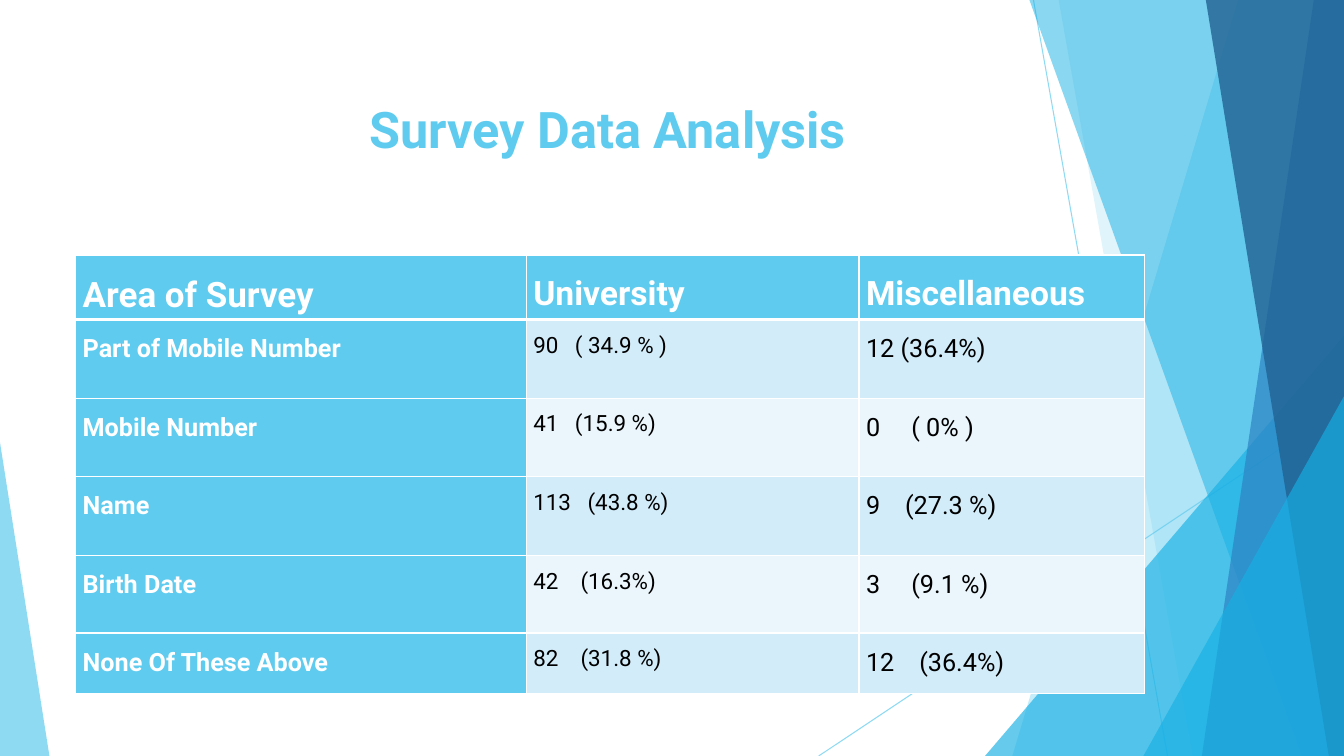
from lxml.etree import SubElement
from pptx import Presentation
from pptx.dml.color import RGBColor
from pptx.enum.shapes import MSO_CONNECTOR, MSO_SHAPE
from pptx.enum.text import MSO_ANCHOR, PP_ALIGN
from pptx.oxml.ns import qn
from pptx.util import Inches, Pt

SKY = RGBColor(0x5F, 0xCB, 0xEF)
CYAN = RGBColor(0x17, 0xB0, 0xE4)
BLUE = RGBColor(0x2E, 0x83, 0xC3)
NAVY = RGBColor(0x22, 0x62, 0x92)
BAND_DARK = RGBColor(0xD2, 0xEC, 0xF9)
BAND_LIGHT = RGBColor(0xEA, 0xF6, 0xFC)
WHITE = RGBColor(0xFF, 0xFF, 0xFF)
BLACK = RGBColor(0, 0, 0)
FONT = "Roboto"
WIDTH, HEIGHT = 13.33, 7.5

SURVEY = [
    ("Area of Survey", "University", "Miscellaneous"),
    ("Part of Mobile Number", "90   ( 34.9 % )", "12 (36.4%)"),
    ("Mobile Number", "41   (15.9 %)", "0     ( 0% )"),
    ("Name", "113   (43.8 %)", "9    (27.3 %)"),
    ("Birth Date", "42    (16.3%)", "3     (9.1 %)"),
    ("None Of These Above", "82    (31.8 %)", "12    (36.4%)"),
]
COLUMN_WIDTHS = [4.47, 3.3, 2.83]
ROW_HEIGHTS = [0.64, 0.78, 0.78, 0.78, 0.77, 0.6]
HEADER_SIZES = [25, 24, 24]
BODY_SIZES = [18, 16, 18]


def set_opacity(fill_parent, percent):
    colour = next(fill_parent.iter(qn("a:srgbClr")))
    SubElement(colour, qn("a:alpha"), val=str(percent * 1000))


def paint(facet, colour, percent):
    facet.shadow.inherit = False
    facet.fill.solid()
    facet.fill.fore_color.rgb = colour
    facet.line.fill.background()
    set_opacity(facet._element.spPr, percent)


def add_ray(slide, start, end):
    ray = slide.shapes.add_connector(
        MSO_CONNECTOR.STRAIGHT, *map(Inches, start + end))
    ray.line.color.rgb = SKY
    ray.line.width = Pt(0.75)
    set_opacity(ray._element.spPr, 70)
    SubElement(ray._element.spPr, qn("a:effectLst"))


def add_blade(slide, top_left, bottom_left, right, bottom, colour, percent):
    outline = slide.shapes.build_freeform(Inches(top_left), 0)
    corners = [(right, 0), (right, bottom), (bottom_left, bottom)]
    outline.add_line_segments([(Inches(x), Inches(y)) for x, y in corners])
    paint(outline.convert_to_shape(), colour, percent)


def add_corner(slide, left, top, right, bottom, apex, colour, percent):
    corner = slide.shapes.add_shape(
        MSO_SHAPE.ISOSCELES_TRIANGLE, Inches(left), Inches(top),
        Inches(right - left), Inches(bottom - top))
    corner.adjustments[0] = apex
    paint(corner, colour, percent)


def add_facets(slide, right, bottom):
    add_ray(slide, (10.25, 0), (11.58, bottom))
    add_ray(slide, (right, 4.03), (8.12, bottom))
    add_blade(slide, 12.28, 10.04, right, bottom, SKY, 36)
    add_blade(slide, 10.5, 11.83, right, bottom, SKY, 20)
    add_corner(slide, 9.77, 3.33, right, bottom, 1, CYAN, 66)
    add_blade(slide, 10.21, 12.91, right, bottom, CYAN, 50)
    add_blade(slide, 13.03, 11.92, right, bottom, BLUE, 70)
    add_blade(slide, 11.96, 13.18, right, bottom, NAVY, 80)
    add_corner(slide, 11.34, 3.93, right, bottom, 1, CYAN, 66)
    add_corner(slide, 0, 4.39, 0.49, bottom, 0, SKY, 70)


def write(paragraph, wording, size, colour, bold):
    run = paragraph.add_run()
    run.text = wording
    run.font.name = FONT
    run.font.size = Pt(size)
    run.font.bold = bold
    run.font.color.rgb = colour


def add_title(slide, left, top, width, height):
    title = slide.shapes.title
    title.left, title.top = Inches(left), Inches(top)
    title.width, title.height = Inches(width), Inches(height)
    title.text_frame.word_wrap = True
    title.text_frame.vertical_anchor = MSO_ANCHOR.TOP
    heading = title.text_frame.paragraphs[0]
    heading.alignment = PP_ALIGN.CENTER
    write(heading, "Survey Data Analysis", 36, SKY, True)
    slide.shapes._spTree.append(title._element)


def set_borders(cell, top, bottom):
    properties = cell._tc.get_or_add_tcPr()
    for side, points in (("L", 1), ("R", 1), ("T", top), ("B", bottom)):
        border = SubElement(properties, qn(f"a:ln{side}"), w=str(Pt(points)))
        fill = SubElement(border, qn("a:solidFill"))
        SubElement(fill, qn("a:srgbClr"), val=str(WHITE))


def fill_cell(cell, wording, row, column):
    header = row == 0
    label = header or column == 0
    set_borders(cell, 3 if row == 1 else 1, 3 if header else 1)
    cell.fill.solid()
    cell.fill.fore_color.rgb = (
        SKY if label else BAND_DARK if row % 2 else BAND_LIGHT)
    cell.margin_left = cell.margin_right = Inches(0.07)
    cell.margin_top = cell.margin_bottom = 0
    cell.vertical_anchor = MSO_ANCHOR.TOP
    entry = cell.text_frame.paragraphs[0]
    entry.alignment = PP_ALIGN.JUSTIFY
    entry.line_spacing = 1.5
    entry.space_before = Pt(6)
    entry.space_after = Pt(14)
    size = (HEADER_SIZES if header else BODY_SIZES)[column]
    write(entry, wording, size, WHITE if label else BLACK, label)


def add_survey(slide, left, top):
    survey = slide.shapes.add_table(
        len(SURVEY), len(COLUMN_WIDTHS), Inches(left), Inches(top),
        Inches(sum(COLUMN_WIDTHS)), Inches(sum(ROW_HEIGHTS))).table
    survey.first_col = True
    for column, width in zip(survey.columns, COLUMN_WIDTHS):
        column.width = Inches(width)
    for row, height in zip(survey.rows, ROW_HEIGHTS):
        row.height = Inches(height)
    for row, entries in enumerate(SURVEY):
        for column, wording in enumerate(entries):
            fill_cell(survey.cell(row, column), wording, row, column)


def main():
    deck = Presentation()
    deck.slide_width, deck.slide_height = Inches(WIDTH), Inches(HEIGHT)
    slide = deck.slides.add_slide(deck.slide_layouts[5])
    add_facets(slide, WIDTH, HEIGHT)
    add_survey(slide, 0.75, 2.53)
    add_title(slide, 1.33, 0.92, 9.4, 1.44)
    deck.save("out.pptx")


if __name__ == "__main__":
    main()
